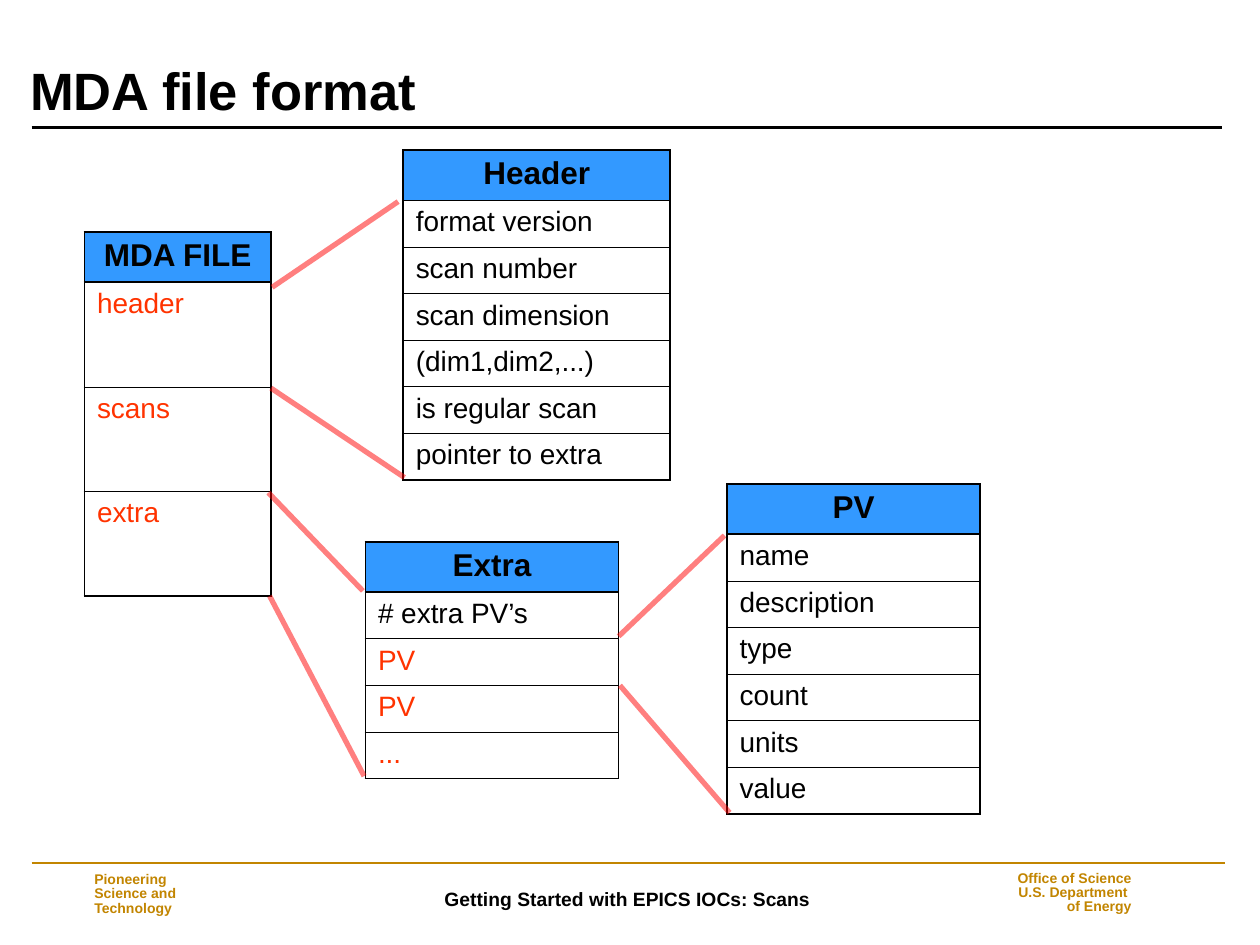
from lxml import etree
from pptx import Presentation
from pptx import util as u
from pptx.dml.color import RGBColor
from pptx.enum import shapes, text
from pptx.oxml import ns

BLACK, GOLD, BLUE, ORANGE, RED = "000000", "C28500", "3399FF", "FF3300", "FF0000"
LEFT, CENTER, RIGHT = text.PP_ALIGN.LEFT, text.PP_ALIGN.CENTER, text.PP_ALIGN.RIGHT


def color(value):
    return RGBColor.from_string(value)


def inches(*values):
    return [u.Inches(value) for value in values]


def child(parent, tag, **attributes):
    return etree.SubElement(parent, ns.qn(tag), attributes)


class SlideBuilder:
    font = "Arial"
    outer, inner = 1.08, 0.45

    def __init__(self, deck):
        self.page = deck.slides.add_slide(deck.slide_layouts[5])

    def add_words(self, para, words, size, ink=BLACK, bold=True, align=LEFT, spacing=None):
        para.alignment = align
        if spacing:
            para.line_spacing = spacing
        for index, line in enumerate(words.split("\n")):
            if index:
                para.add_line_break()
            span = para.add_run()
            span.text = line
            span.font.name = self.font
            span.font.size = u.Pt(size)
            span.font.bold = bold
            span.font.color.rgb = color(ink)

    def title(self, words, place):
        box = self.page.shapes.title
        box.left, box.top, box.width, box.height = inches(*place)
        frame = box.text_frame
        frame.auto_size = text.MSO_AUTO_SIZE.NONE
        frame.vertical_anchor = text.MSO_ANCHOR.BOTTOM
        frame.margin_top = 0
        self.add_words(frame.paragraphs[0], words, 30, spacing=0.9)

    def label(self, paragraphs, place, size, ink, align, spacing=None):
        frame = self.page.shapes.add_textbox(*inches(*place)).text_frame
        frame.word_wrap = True
        frame.vertical_anchor = text.MSO_ANCHOR.MIDDLE
        for index, words in enumerate(paragraphs):
            para = frame.add_paragraph() if index else frame.paragraphs[0]
            self.add_words(para, words, size, ink, align=align, spacing=spacing)

    def line(self, start, end, ink, width, alpha=None):
        link = self.page.shapes.add_connector(
            shapes.MSO_CONNECTOR.STRAIGHT, *inches(*start, *end))
        link.line.color.rgb = color(ink)
        link.line.width = u.Pt(width)
        properties = link._element.spPr
        if alpha:
            tint = properties.find(".//" + ns.qn("a:srgbClr"))
            child(tint, "a:alpha", val=str(alpha * 1000))
        child(properties, "a:effectLst")

    def borders(self, cell, top, bottom):
        properties = cell._tc.get_or_add_tcPr()
        for side, width in zip("LRTB", (self.outer, self.outer, top, bottom)):
            edge = child(properties, "a:ln" + side, w=str(u.Pt(width)))
            child(child(edge, "a:solidFill"), "a:srgbClr", val=BLACK)

    def record(self, name, fields, place, width, row_height=0.37, head_rule=1.47, linked=()):
        count = len(fields) + 1
        height = 0.4 + row_height * len(fields)
        table = self.page.shapes.add_table(
            count, 1, *inches(*place, width, height)).table
        table.first_row = table.horz_banding = False
        rules = [self.outer, head_rule] + [self.inner] * (count - 2) + [self.outer]
        for index, words in enumerate([name, *fields]):
            table.rows[index].height = u.Inches(row_height if index else 0.4)
            cell = table.cell(index, 0)
            self.borders(cell, rules[index], rules[index + 1])
            para = cell.text_frame.paragraphs[0]
            if index:
                cell.fill.background()
                ink = ORANGE if words in linked else BLACK
                self.add_words(para, words, 16, ink, bold=False)
            else:
                cell.fill.solid()
                cell.fill.fore_color.rgb = color(BLUE)
                self.add_words(para, words, 18, align=CENTER)


def main():
    deck = Presentation()
    deck.slide_width, deck.slide_height = inches(10, 7.5)
    slide = SlideBuilder(deck)

    slide.label(["Getting Started with EPICS IOCs: Scans"],
                (2.02, 6.89, 5.92, 0.48), 11, BLACK, CENTER)
    slide.line((0.25, 6.85), (9.72, 6.85), GOLD, 1)
    slide.label(["Pioneering\nScience and\nTechnology"],
                (0.65, 6.88, 1.46, 0.44), 8, GOLD, LEFT, 0.85)
    slide.line((0.25, 1.01), (9.7, 1.01), BLACK, 1.5)
    slide.label(["Office of Science", "U.S. Department ", "of Energy"],
                (7.84, 6.87, 1.24, 0.44), 8, GOLD, RIGHT, 0.85)
    slide.title("MDA file format", (0.14, 0.52, 9.58, 0.5))

    sections = ["header", "scans", "extra"]
    slide.record("MDA FILE", sections, (0.67, 1.84), 1.48, row_height=0.83, linked=sections)
    slide.record("Header", ["format version", "scan number", "scan dimension",
                            "(dim1,dim2,...)", "is regular scan", "pointer to extra"],
                 (3.2, 1.19), 2.12, head_rule=0.45)
    slide.record("Extra", ["# extra PV’s", "PV", "PV", "..."],
                 (2.9, 4.3), 2.01, linked=["PV", "..."])
    slide.record("PV", ["name", "description", "type", "count", "units", "value"],
                 (5.77, 3.84), 2.01)

    for start, end in [
        ((2.16, 2.28), (3.16, 1.6)),
        ((2.15, 3.08), (3.21, 3.79)),
        ((2.13, 3.91), (2.88, 4.69)),
        ((2.14, 4.73), (2.89, 6.16)),
        ((4.91, 5.05), (5.75, 4.25)),
        ((4.92, 5.44), (5.79, 6.45)),
    ]:
        slide.line(start, end, RED, 3, alpha=50)

    deck.save("out.pptx")


if __name__ == "__main__":
    main()
